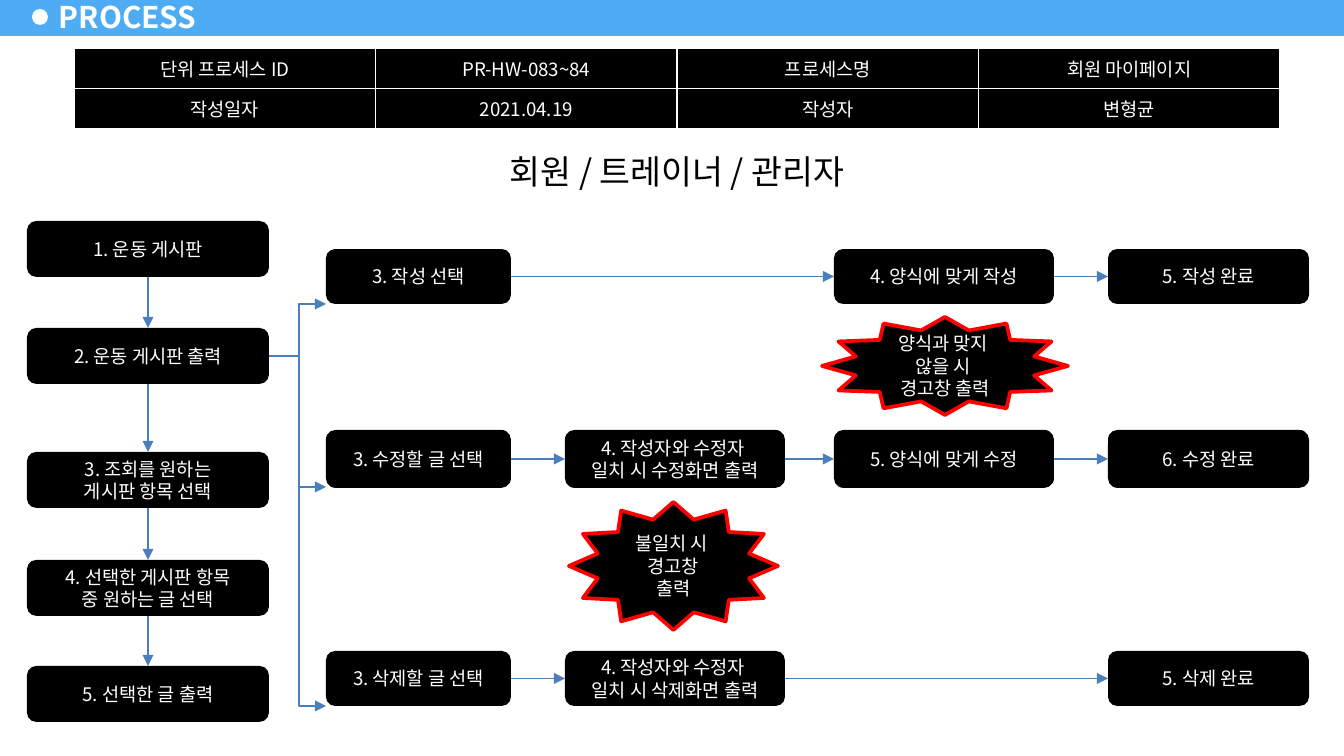
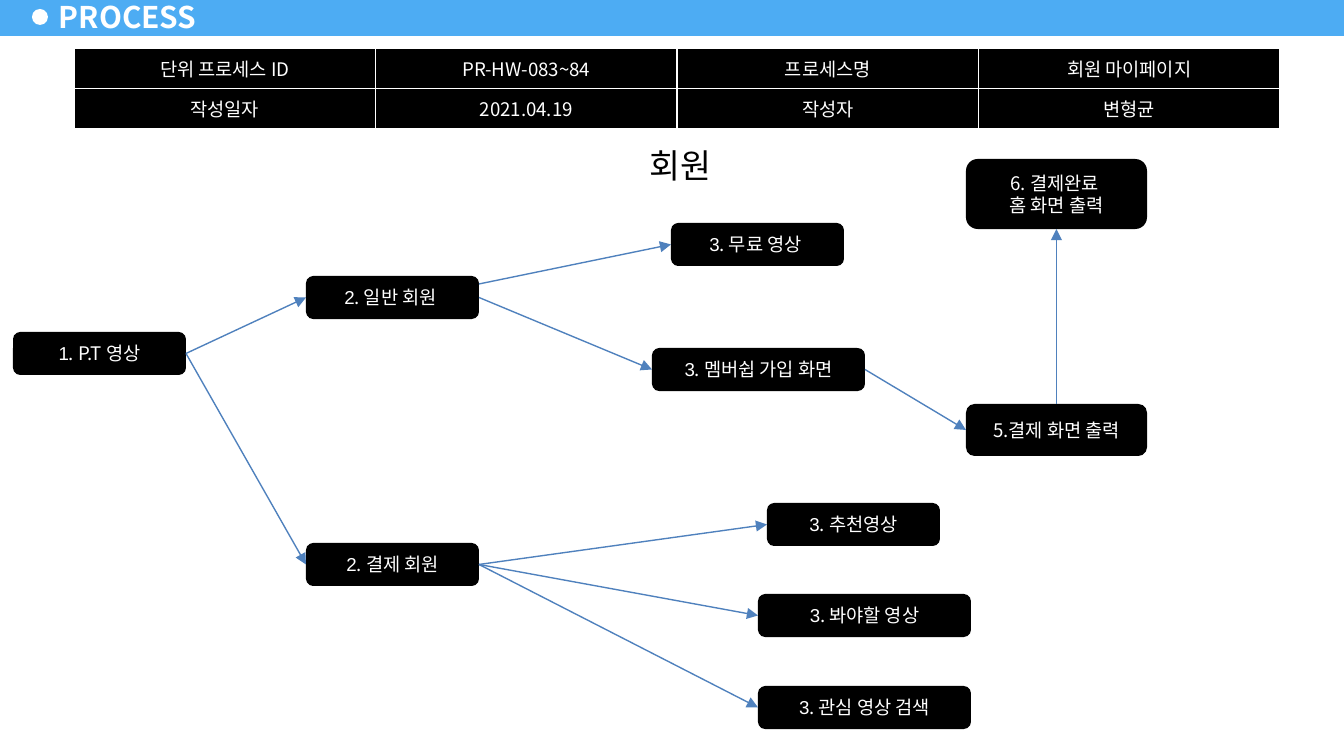
from itertools import pairwise
from typing import NamedTuple

from lxml.etree import SubElement
from pptx import Presentation
from pptx.dml.color import RGBColor
from pptx.enum.shapes import MSO_CONNECTOR as LINE, MSO_SHAPE as SHAPE
from pptx.enum.text import MSO_ANCHOR as ANCHOR, MSO_AUTO_SIZE as FIT, PP_ALIGN as ALIGN
from pptx.oxml.ns import qn
from pptx.util import Emu, Pt

BLUE, BLACK, WHITE, RED = "4DACF3", "000000", "FFFFFF", "FF0000"
KOREAN, LATIN = "Noto Sans CJK KR", "Arial"
TOP, LEFT, BOTTOM, RIGHT = range(4)


class Box(NamedTuple):
    left: int
    top: int
    width: int
    height: int

    def inside(self, left, top, width, height):
        return Box(self.left + left, self.top + top, width, height)


PAGE = Box(0, 0, 1344, 756)
HEADER = Box(74, 48, 1206, 75)
DETAILS = [
    ["단위 프로세스 ID", "PR-HW-083~84", "프로세스명", "회원 마이페이지"],
    ["작성일자", "2021.04.19", "작성자", "변형균"],
]

VIEW_STEPS = [
    (0, "1. 운동 게시판"),
    (107, "2. 운동 게시판 출력"),
    (231, "3. 조회를 원하는\n게시판 항목 선택"),
    (339, "4. 선택한 게시판 항목\n중 원하는 글 선택"),
    (445, "5. 선택한 글 출력"),
]
BRANCH_COLUMNS = [(0, 185), (239, 220), (508, 220), (782, 201)]
BRANCHES = [
    (0, 55, ["3. 작성 선택", None, "4. 양식에 맞게 작성", "5. 작성 완료"]),
    (181, 58, ["3. 수정할 글 선택", "4. 작성자와 수정자 \v일치 시 수정화면 출력",
               "5. 양식에 맞게 수정", "6. 수정 완료"]),
    (402, 55, ["3. 삭제할 글 선택", "4. 작성자와 수정자 \v일치 시 삭제화면 출력",
               None, "5. 삭제 완료"]),
]
WARNINGS = [
    (Box(496, 68, 246, 98), "양식과 맞지 \v않을 시 \v경고창 출력"),
    (Box(243, 253, 209, 128), "불일치 시 \v경고창\n출력"),
]

VIDEO_NODES = {
    "start": (Box(0, 173, 173, 43), "1", ". P.T 영상"),
    "regular": (Box(293, 117, 173, 43), "2", ". 일반 회원 "),
    "paid": (Box(293, 384, 173, 43), "2", ". 결제 회원"),
    "free": (Box(658, 64, 173, 43), "3", ". 무료 영상 "),
    "join": (Box(639, 189, 213, 43), "3", ". 멤버쉽 가입 화면"),
    "suggested": (Box(754, 344, 173, 43), "3", ". 추천영상"),
    "must_see": (Box(745, 435, 213, 43), "3", ". 봐야할 영상"),
    "search": (Box(745, 527, 213, 43), "3", ". 관심 영상 검색"),
    "payment": (Box(953, 245, 181, 52), "", "5.결제 화면 출력"),
    "done": (Box(953, 0, 181, 70), "", "6. 결제완료 \n홈 화면 출력"),
}
VIDEO_LINKS = [
    ("start", "regular"), ("start", "paid"), ("regular", "join"),
    ("join", "payment"), ("paid", "suggested"), ("paid", "must_see"),
    ("paid", "search"),
]


def px(length):
    return Emu(round(length * 9144000 / PAGE.width))


def emu(box):
    return [px(length) for length in box]


def colour(code):
    return RGBColor.from_string(code)


def paint(shape, fill, line=None, width=2):
    shape.fill.solid()
    shape.fill.fore_color.rgb = colour(fill)
    if line:
        shape.line.color.rgb = colour(line)
        shape.line.width = Pt(width)
    else:
        shape.line.fill.background()


def style_run(run, size, code, bold=False, font=KOREAN):
    run.font.size = Pt(size)
    run.font.bold = bold
    run.font.name = font
    run.font.color.rgb = colour(code)
    SubElement(run._r.get_or_add_rPr(), qn("a:ea"), typeface=KOREAN)


def write(frame, text, size=10, code=WHITE, align=ALIGN.CENTER, bold=False):
    frame.text = text
    for para in frame.paragraphs:
        para.alignment = align
        for run in para.runs:
            style_run(run, size, code, bold)


def add_filled(page, kind, box, fill, line=None):
    shape = page.shapes.add_shape(kind, *emu(box))
    shape.shadow.inherit = False
    paint(shape, fill, line)
    return shape


def add_step(page, box, text, number=""):
    step = add_filled(page, SHAPE.ROUNDED_RECTANGLE, box, BLACK)
    frame = step.text_frame
    frame.vertical_anchor = ANCHOR.MIDDLE
    if number:
        para = frame.paragraphs[0]
        para.text = number
        para.add_run().text = text
        para.alignment = ALIGN.CENTER
        for run, font in zip(para.runs, (LATIN, KOREAN)):
            style_run(run, 10, WHITE, font=font)
    else:
        write(frame, text)
    return step


def add_arrow(page, code, start=(0, 0), end=(0, 0), kind=LINE.STRAIGHT):
    points = [px(length) for length in (*start, *end)]
    arrow = page.shapes.add_connector(kind, *points)
    arrow.line.color.rgb = colour(code)
    arrow.line.width = Pt(0.75)
    SubElement(arrow.line._get_or_add_ln(), qn("a:tailEnd"), type="triangle")
    SubElement(arrow._element.spPr, qn("a:effectLst"))
    return arrow


def join(page, code, source, target, sides=(RIGHT, LEFT)):
    arrow = add_arrow(page, code)
    arrow.begin_connect(source, sides[0])
    arrow.end_connect(target, sides[1])


def add_band(page, layout, box):
    band = add_filled(page, SHAPE.RECTANGLE, box.inside(0, -2, box.width, 38), BLUE)
    dot = add_filled(page, SHAPE.OVAL, box.inside(32, 9, 16, 16), WHITE)
    for position, shape in enumerate((band, dot), start=2):
        layout.shapes.element.insert(position, shape._element)


def add_title(page, box):
    title = page.shapes.title
    title.left, title.top, title.width, title.height = emu(box)
    frame = title.text_frame
    frame.auto_size = FIT.NONE
    frame.vertical_anchor = ANCHOR.MIDDLE
    frame.margin_left = frame.margin_right = px(12)
    frame.margin_top = frame.margin_bottom = px(5)
    write(frame, "PROCESS", 16, align=ALIGN.LEFT, bold=True)


def add_details(page, box):
    table = page.shapes.add_table(len(DETAILS), len(DETAILS[0]), *emu(box)).table
    table.first_row = table.horz_banding = False
    for row, texts in enumerate(DETAILS):
        for column, text in enumerate(texts):
            cell = table.cell(row, column)
            write(cell.text_frame, text)
            cell.vertical_anchor = ANCHOR.MIDDLE
            properties = cell._tc.get_or_add_tcPr()
            for side in ("lnL", "lnR", "lnT", "lnB"):
                border = SubElement(properties, qn(f"a:{side}"), w=str(Pt(1)))
                solid = SubElement(border, qn("a:solidFill"))
                SubElement(solid, qn("a:srgbClr"), val=WHITE)
            cell.fill.solid()
            cell.fill.fore_color.rgb = colour(BLACK)


def add_heading(page, box, text, align):
    heading = page.shapes.add_textbox(*emu(box))
    paint(heading, WHITE)
    heading.text_frame.word_wrap = True
    write(heading.text_frame, text, 18, BLACK, align)


def add_view_steps(page, box, code):
    steps = [add_step(page, box.inside(0, top, box.width, 56), text)
             for top, text in VIEW_STEPS]
    for source, target in pairwise(steps):
        join(page, code, source, target, (BOTTOM, TOP))


def add_branches(page, box, code):
    for top, height, texts in BRANCHES:
        steps = [add_step(page, box.inside(left, top, width, height), text)
                 for (left, width), text in zip(BRANCH_COLUMNS, texts) if text]
        for source, target in pairwise(steps):
            join(page, code, source, target)
    for place, text in WARNINGS:
        star = add_filled(page, SHAPE.STAR_12_POINT, box.inside(*place), BLACK, RED)
        star.text_frame.vertical_anchor = ANCHOR.MIDDLE
        write(star.text_frame, text)


def add_fork(page, box, code):
    start = (box.left, box.top + 107)
    trunk = box.left + 30
    upper, middle, lower = [box.top + top + height // 2 + 28
                            for top, height, _ in BRANCHES]
    for end in (upper, lower):
        elbow = add_arrow(page, code, start, (box.left + box.width, end), LINE.ELBOW)
        guides = elbow._element.spPr.find(qn("a:prstGeom")).find(qn("a:avLst"))
        share = round(100000 * 30 / box.width)
        SubElement(guides, qn("a:gd"), name="adj1", fmla=f"val {share}")
    add_arrow(page, code, (trunk, middle), (box.left + box.width, middle))


def add_video_tree(page, box, code):
    nodes = {name: add_step(page, box.inside(*place), text, number)
             for name, (place, number, text) in VIDEO_NODES.items()}
    for source, target in VIDEO_LINKS:
        join(page, code, nodes[source], nodes[target])
    join(page, code, nodes["payment"], nodes["done"], (TOP, BOTTOM))
    free = add_arrow(page, code, (box.left + 466, box.top + 125))
    free.end_connect(nodes["free"], LEFT)


def add_process_page(deck, layout):
    page = deck.slides.add_slide(layout)
    add_title(page, PAGE.inside(47, -5, 164, 43))
    add_details(page, HEADER)
    return page


def build_board_page(page):
    code = "4B7EBC"
    add_heading(page, Box(437, 144, 480, 54), "회원 / 트레이너 / 관리자", ALIGN.CENTER)
    add_view_steps(page, Box(27, 221, 242, 501), code)
    add_branches(page, Box(326, 249, 983, 457), code)
    add_fork(page, Box(269, 249, 57, 457), code)


def build_video_page(page):
    add_heading(page, Box(636, 138, 278, 54), "회원", ALIGN.LEFT)
    add_video_tree(page, Box(13, 159, 1134, 570), "4F81BD")


def main():
    deck = Presentation()
    deck.slide_width, deck.slide_height = px(PAGE.width), px(PAGE.height)
    layout = deck.slide_layouts[5]
    board = add_process_page(deck, layout)
    add_band(board, layout, PAGE)
    build_board_page(board)
    build_video_page(add_process_page(deck, layout))
    deck.save("out.pptx")


if __name__ == "__main__":
    main()
